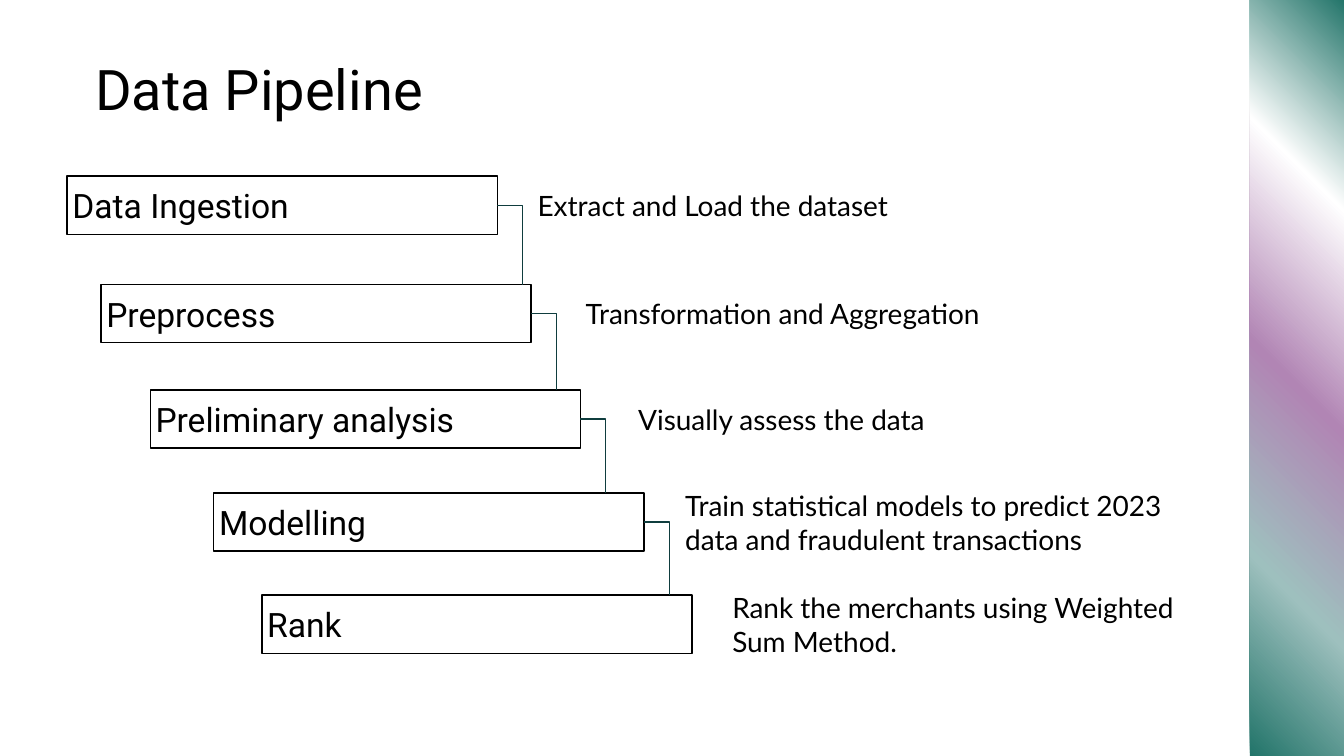
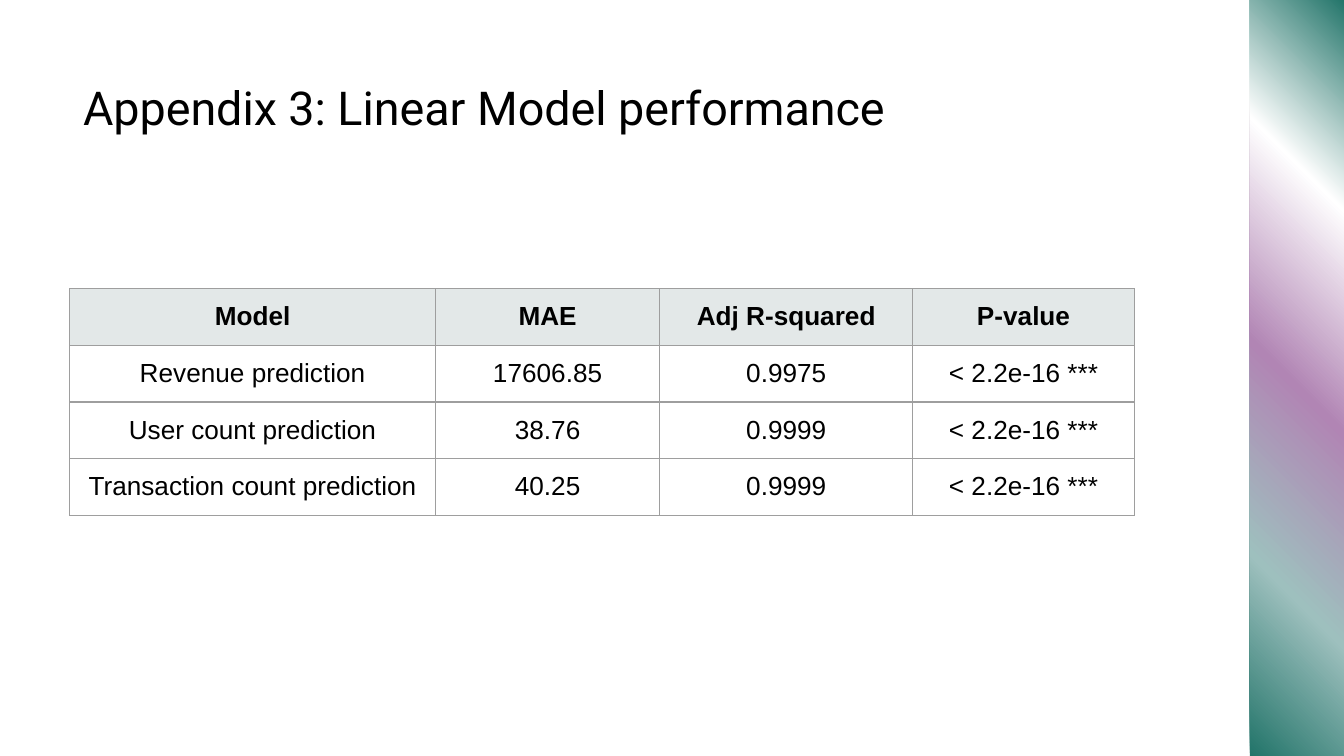
"""Build a data pipeline staircase slide and a linear model performance table slide."""
from lxml import etree
from pptx import Presentation
from pptx.dml.color import RGBColor
from pptx.enum.shapes import MSO_CONNECTOR, MSO_SHAPE
from pptx.enum.text import MSO_ANCHOR, MSO_AUTO_SIZE, PP_ALIGN
from pptx.oxml.ns import qn
from pptx.util import Cm, Pt

RECTANGLE = MSO_SHAPE.RECTANGLE
ELBOW = MSO_CONNECTOR.ELBOW
TOP, MIDDLE = MSO_ANCHOR.TOP, MSO_ANCHOR.MIDDLE
LEFT, CENTER = PP_ALIGN.LEFT, PP_ALIGN.CENTER
NO_AUTOFIT = MSO_AUTO_SIZE.NONE

COLORS = {
    "text": "000000",
    "connector": "0F3D3E",
    "header": "E3E8E8",
    "border": "9E9E9E",
    "green": "207368",
    "teal": "9EC0BE",
    "mauve": "B185B4",
    "white": "FFFFFF",
}
BAND_STOPS = [(0, "green"), (24, "teal"), (49, "mauve"), (75, "white"), (100, "green")]
BAND_PLACE = (23.62, -0.08, 1.78, 14.43)

STEPS = [
    ("Data Ingestion", 1.27, 3.33, "Extract and Load the dataset", 10.06),
    ("Preprocess", 1.91, 5.38, "Transformation and Aggregation", 10.97),
    ("Preliminary analysis", 2.84, 7.37, "Visually assess the data", 11.96),
    ("Modelling", 4.04, 9.32,
     "Train statistical models to predict 2023 data and fraudulent transactions", 12.85),
    ("Rank", 4.95, 11.25, "Rank the merchants using Weighted Sum Method.", 13.74),
]
STEP_WIDTH, STEP_HEIGHT, NOTE_WIDTH = 8.13, 1.1, 9.68
ELBOW_REACH = 0.48

MODEL_ROWS = [
    ("Model", "MAE", "Adj R-squared", "P-value"),
    ("Revenue prediction", "17606.85", "0.9975", "< 2.2e-16 ***"),
    ("User count prediction", "38.76", "0.9999", "< 2.2e-16 ***"),
    ("Transaction count prediction", "40.25", "0.9999", "< 2.2e-16 ***"),
]
COLUMN_WIDTHS = [6.91, 4.24, 4.78, 4.19]
ROW_HEIGHT = 1.07

TITLE_FONT = {"name": "Roboto", "bold": False}
STEP_FONT = {"name": "Roboto", "size": Pt(18)}
NOTE_FONT = {"name": "Lato", "size": Pt(15)}
TABLE_FONT = {"name": "Arial", "size": Pt(14)}

TITLE_FRAME = {
    "word_wrap": True, "auto_size": NO_AUTOFIT, "vertical_anchor": TOP,
    "margin_left": Cm(0.25), "margin_right": Cm(0.25),
    "margin_top": Cm(0.25), "margin_bottom": Cm(0.25),
}
STEP_FRAME = {
    **TITLE_FRAME, "vertical_anchor": MIDDLE,
    "margin_left": Cm(0.1), "margin_right": Cm(0.1),
}
CELL_FORMAT = {
    "vertical_anchor": TOP,
    "margin_left": Cm(0.25), "margin_right": Cm(0.25),
    "margin_top": Cm(0.25), "margin_bottom": Cm(0.25),
}


def color(name):
    return RGBColor.from_string(COLORS[name])


def lengths(*values):
    return [Cm(value) for value in values]


def apply(target, values):
    for name, value in values.items():
        setattr(target, name, value)


def write(text_frame, text, font, alignment=LEFT):
    text_frame.text = text
    paragraph = text_frame.paragraphs[0]
    paragraph.alignment = alignment
    run = paragraph.runs[0]
    apply(run.font, font)
    run.font.color.rgb = color("text")


def set_line(shape, name):
    shape.line.color.rgb = color(name)
    shape.line.width = Pt(0.75)


def add_band(slide):
    band = slide.shapes.add_shape(RECTANGLE, *lengths(*BAND_PLACE))
    band.shadow.inherit = False
    band.line.fill.background()
    band.fill.gradient()
    band.fill.gradient_angle = 45
    stops = next(band.element.iter(qn("a:gsLst")))
    stops.clear()
    for position, name in BAND_STOPS:
        stop = etree.SubElement(stops, qn("a:gs"), pos=str(position * 1000))
        etree.SubElement(stop, qn("a:srgbClr"), val=COLORS[name])
    slide.slide_layout.shapes.element.insert(2, band.element)


def add_slide(presentation, title, left, top, size):
    slide = presentation.slides.add_slide(presentation.slide_layouts[5])
    shape = slide.shapes.title
    places = zip(("left", "top", "width", "height"), lengths(left, top, 21.41, 1.6))
    apply(shape, dict(places))
    apply(shape.text_frame, TITLE_FRAME)
    write(shape.text_frame, title, {**TITLE_FONT, "size": Pt(size)})
    return slide


def add_step(slide, name, left, top, note, note_left):
    box = slide.shapes.add_shape(RECTANGLE, *lengths(left, top, STEP_WIDTH, STEP_HEIGHT))
    box.shadow.inherit = False
    box.fill.background()
    set_line(box, "text")
    note_box = slide.shapes.add_textbox(*lengths(note_left, top, NOTE_WIDTH, STEP_HEIGHT))
    for shape, text, font in ((box, name, STEP_FONT), (note_box, note, NOTE_FONT)):
        apply(shape.text_frame, STEP_FRAME)
        write(shape.text_frame, text, font)


def add_elbow(slide, left, top, next_top):
    start = left + STEP_WIDTH
    connector = slide.shapes.add_connector(
        ELBOW, *lengths(start, top + STEP_HEIGHT / 2, start + ELBOW_REACH, next_top))
    set_line(connector, "connector")
    properties = connector.element.spPr
    properties.find(qn("a:prstGeom")).set("prst", "bentConnector2")
    etree.SubElement(properties, qn("a:effectLst"))


def add_borders(cell):
    properties = cell._tc.get_or_add_tcPr()
    for side in ("lnL", "lnR", "lnT", "lnB"):
        line = etree.SubElement(properties, qn(f"a:{side}"), w=str(Pt(0.75)))
        fill = etree.SubElement(line, qn("a:solidFill"))
        etree.SubElement(fill, qn("a:srgbClr"), val=COLORS["border"])


def add_model_table(slide):
    row_count = len(MODEL_ROWS)
    place = lengths(1.32, 5.46, sum(COLUMN_WIDTHS), ROW_HEIGHT * row_count)
    table = slide.shapes.add_table(row_count, len(COLUMN_WIDTHS), *place).table
    apply(table, {"first_row": False, "horz_banding": False})
    for column, width in zip(table.columns, COLUMN_WIDTHS):
        column.width = Cm(width)
    for row_index, values in enumerate(MODEL_ROWS):
        is_header = row_index == 0
        for column_index, value in enumerate(values):
            cell = table.cell(row_index, column_index)
            apply(cell, CELL_FORMAT)
            add_borders(cell)
            if is_header:
                cell.fill.solid()
                cell.fill.fore_color.rgb = color("header")
            else:
                cell.fill.background()
            write(cell.text_frame, value, {**TABLE_FONT, "bold": is_header}, CENTER)


def main():
    presentation = Presentation()
    presentation.slide_width, presentation.slide_height = lengths(25.4, 14.29)

    pipeline = add_slide(presentation, "Data Pipeline", 1.55, 0.79, 30)
    add_band(pipeline)
    for step in STEPS:
        add_step(pipeline, *step)
    for (_, left, top, *_), following in zip(STEPS, STEPS[1:]):
        add_elbow(pipeline, left, top, following[2])

    appendix = add_slide(
        presentation, "Appendix 3: Linear Model performance", 1.32, 1.24, 25)
    add_model_table(appendix)

    presentation.save("out.pptx")


if __name__ == "__main__":
    main()
